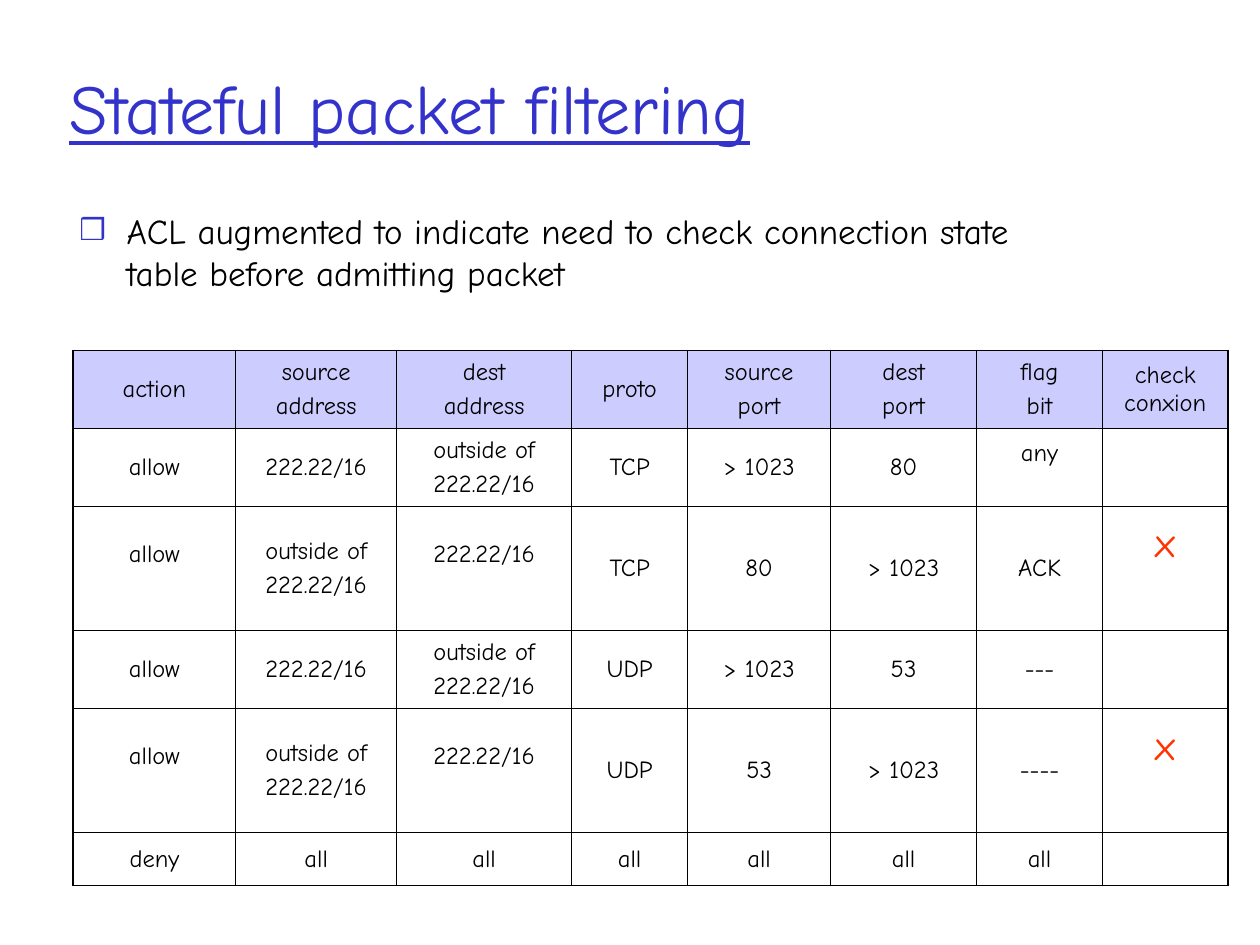
from lxml import etree
from pptx import Presentation
from pptx.dml.color import RGBColor
from pptx.enum.text import MSO_ANCHOR, MSO_AUTO_SIZE, PP_ALIGN
from pptx.oxml.ns import qn
from pptx.util import Pt

MIDDLE, TOP = MSO_ANCHOR.MIDDLE, MSO_ANCHOR.TOP
CENTER, LEFT = PP_ALIGN.CENTER, PP_ALIGN.LEFT
NO_FIT = MSO_AUTO_SIZE.NONE
FONT = "Comic Neue"
BLUE, BLACK, RED, LILAC = "3333CC", "000000", "FF3300", "CCCCFF"
THIN, THICK = 0.45, 1.08
INSET = 3.6
COLUMNS = [92.9, 92, 100, 66.3, 81.7, 83.4, 72, 71.7]
HEIGHTS = [44.6, 44.6, 70.9, 44.6, 70.9, 30.3]
INSIDE, OUTSIDE = "222.22/16", "outside of\n222.22/16"
RULES = [
    ["action", "source\naddress", "dest\naddress", "proto",
     "source\nport", "dest\nport", "flag\nbit", "check conxion"],
    ["allow", INSIDE, OUTSIDE, "TCP", "> 1023", "80", "any", ""],
    ["allow", OUTSIDE, INSIDE, "TCP", "80", "> 1023", "ACK", "x"],
    ["allow", INSIDE, OUTSIDE, "UDP", "> 1023", "53", "---", ""],
    ["allow", OUTSIDE, INSIDE, "UDP", "53", "> 1023", "----", "x"],
    ["deny"] + ["all"] * 6 + [""],
]
RAISED = {(1, 6): 16, (2, 0): 16, (2, 2): 16, (2, 7): 27.6,
          (4, 0): 16, (4, 2): 16, (4, 7): 27.6}


def color(value):
    """Turn a hex string into a colour."""
    return RGBColor.from_string(value)


def style(font, size, value):
    """Set the face, size and colour of a font."""
    font.name, font.size = FONT, Pt(size)
    font.color.rgb = color(value)


def write(para, text, size, value):
    """Add one styled run to a paragraph."""
    span = para.add_run()
    span.text = text
    style(span.font, size, value)
    return span


def place(shape, box, anchor):
    """Move a placeholder to a box and fix how its text sits."""
    shape.left, shape.top, shape.width, shape.height = map(Pt, box)
    frame = shape.text_frame
    frame.word_wrap, frame.auto_size = True, NO_FIT
    frame.vertical_anchor = anchor
    return frame.paragraphs[0]


def add_title(page, box):
    """Write the underlined title."""
    para = place(page.shapes.title, box, MIDDLE)
    para.alignment = LEFT
    span = write(para, "Stateful packet filtering", 40, BLUE)
    span.font.underline = True


def add_bullet(para, indent):
    """Give a paragraph a hanging blue box bullet."""
    props = para._p.get_or_add_pPr()
    props.set("marL", str(Pt(indent)))
    props.set("indent", str(-Pt(indent)))
    tint = etree.SubElement(props, qn("a:buClr"))
    etree.SubElement(tint, qn("a:srgbClr"), val=BLUE)
    etree.SubElement(props, qn("a:buSzPct"), val="85000")
    etree.SubElement(props, qn("a:buChar"), char="❒")


def add_body(page, box):
    """Write the bulleted statement."""
    para = place(page.placeholders[1], box, TOP)
    add_bullet(para, 27)
    para.space_before = Pt(0)
    write(para, "ACL augmented to indicate need to check connection state "
          "table before admitting packet", 20, BLACK)


def add_borders(cell, widths):
    """Draw the four black edges of a cell."""
    props = cell._tc.get_or_add_tcPr()
    for side in "LRTB":
        line = etree.SubElement(props, qn(f"a:ln{side}"), w=str(Pt(widths[side])))
        fill = etree.SubElement(line, qn("a:solidFill"))
        etree.SubElement(fill, qn("a:srgbClr"), val=BLACK)


def fill_cell(cell, text, raised):
    """Write centred lines in a cell, lifted by extra room below."""
    cell.vertical_anchor = MIDDLE
    cell.margin_bottom = Pt(INSET + raised)
    size, value = (24, RED) if text == "x" else (14, BLACK)
    for number, words in enumerate(text.split("\n")):
        frame = cell.text_frame
        para = frame.add_paragraph() if number else frame.paragraphs[0]
        para.alignment = CENTER
        para.space_before = Pt(3.5 if number else 0)
        if words:
            write(para, words, size, value)
        else:
            style(para.font, size, value)


def add_rules(page, left, top):
    """Build the table of filter rules."""
    last_row, last_column = len(HEIGHTS) - 1, len(COLUMNS) - 1
    table = page.shapes.add_table(
        len(HEIGHTS), len(COLUMNS), Pt(left), Pt(top),
        Pt(sum(COLUMNS)), Pt(sum(HEIGHTS))).table
    table.first_row = table.horz_banding = False
    for column, width in zip(table.columns, COLUMNS):
        column.width = Pt(width)
    for r, (row, height, texts) in enumerate(zip(table.rows, HEIGHTS, RULES)):
        row.height = Pt(height)
        for c, text in enumerate(texts):
            cell = table.cell(r, c)
            outer = {"L": c == 0, "R": c == last_column,
                     "T": r == 0, "B": r == last_row}
            add_borders(cell, {side: THICK if edge else THIN
                               for side, edge in outer.items()})
            fill_cell(cell, text, RAISED.get((r, c), 0))
            if r == 0:
                cell.fill.solid()
                cell.fill.fore_color.rgb = color(LILAC)
            else:
                cell.fill.background()


def main():
    """Build and save the deck."""
    deck = Presentation()
    deck.slide_width, deck.slide_height = Pt(720), Pt(540)
    page = deck.slides.add_slide(deck.slide_layouts[1])
    add_title(page, (32.4, 15.8, 612, 90))
    add_body(page, (38.2, 115.9, 591.8, 361.4))
    add_rules(page, 41.8, 200.2)
    deck.save("out.pptx")


if __name__ == "__main__":
    main()
